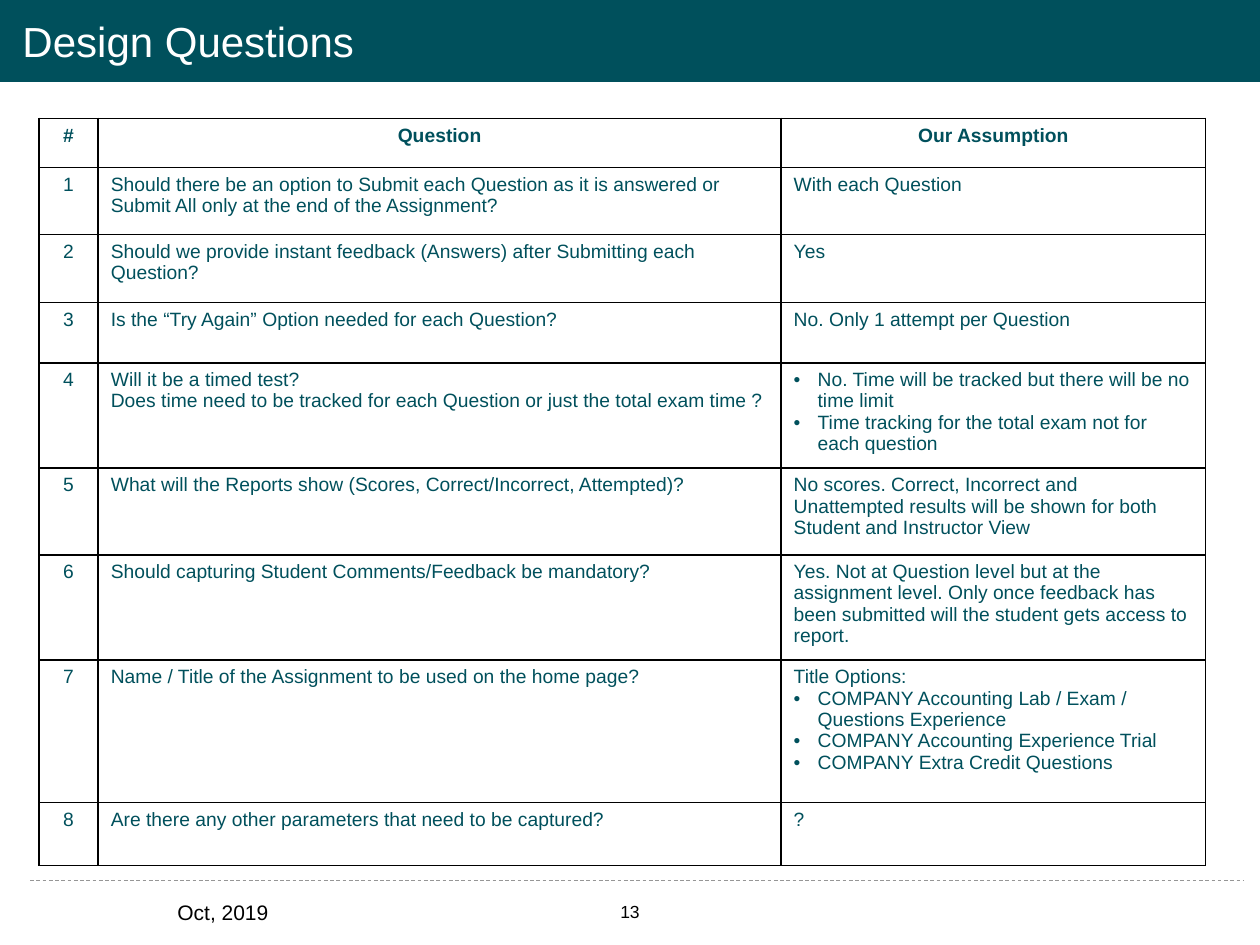
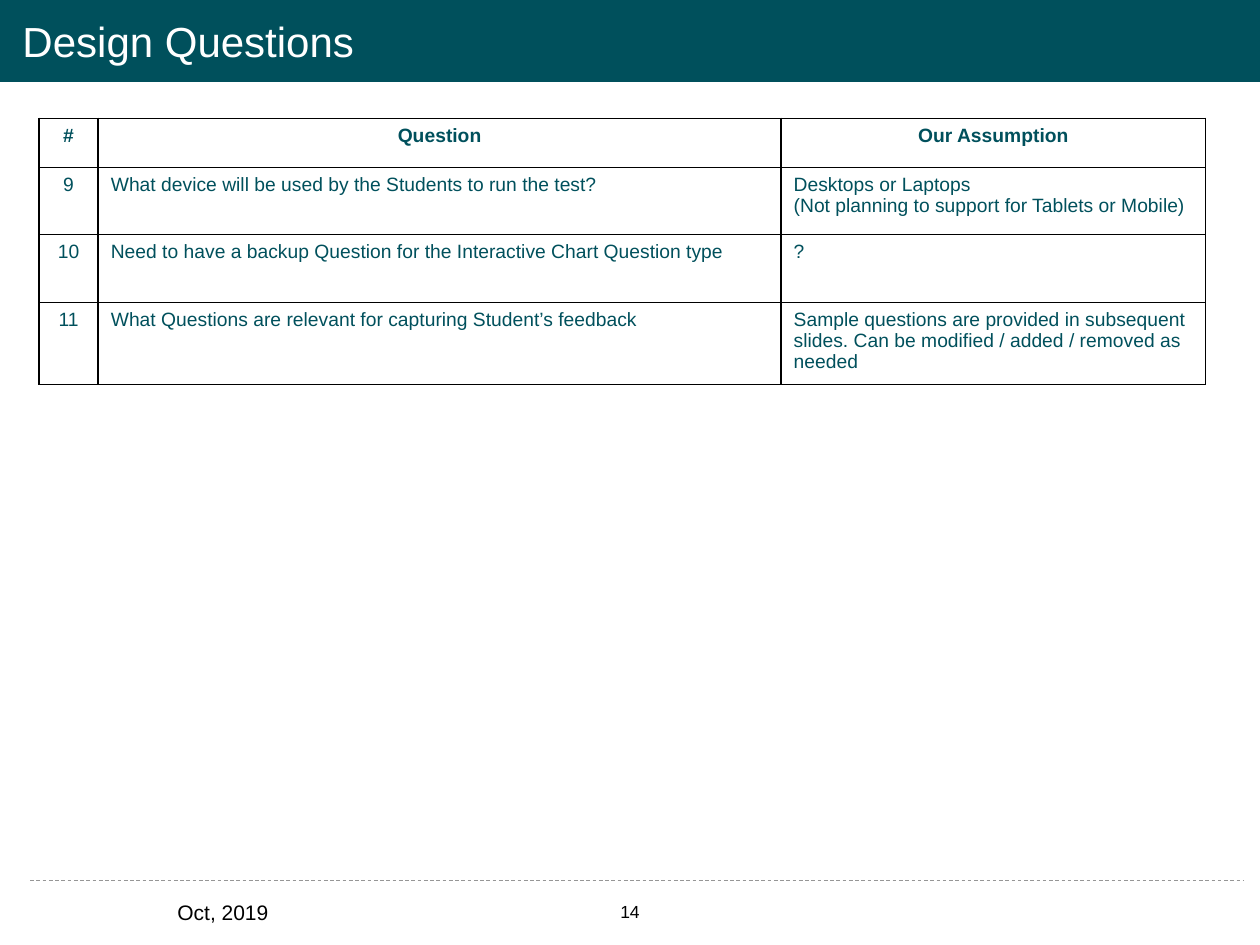
"""Build two slides that list design questions and the assumptions made for them."""
from lxml.etree import SubElement
from pptx import Presentation
from pptx.dml.color import RGBColor
from pptx.enum.dml import MSO_LINE_DASH_STYLE as Dash
from pptx.enum.shapes import MSO_CONNECTOR as Connector, MSO_SHAPE as Shape
from pptx.enum.text import MSO_ANCHOR as Anchor, PP_ALIGN as Align
from pptx.oxml.ns import qn
from pptx.util import Inches, Pt

TEAL, WHITE, BLACK, GRAY = "00505C", "FFFFFF", "000000", "969696"
FONT = "Arial"
BULLET = "•"
COLUMN_WIDTHS = [0.47, 5.42, 3.37]
HEADER_HEIGHT = 0.39
HEADINGS = ("#", ["Question"], ["Our Assumption"])

SLIDES = [
    (13, [
        (0.53, ["Should there be an option to Submit each Question as it is answered or Submit All only at the end of the Assignment?"],
         ["With each Question"]),
        (0.54, ["Should we provide instant feedback (Answers) after Submitting each Question?"],
         ["Yes"]),
        (0.48, ["Is the “Try Again” Option needed for each Question?"],
         ["No. Only 1 attempt per Question"]),
        (0.79, ["Will it be a timed test?",
                "Does time need to be tracked for each Question or just the total exam time ?"],
         ["•No. Time will be tracked but there will be no time limit",
          "•Time tracking for the total exam not for each question"]),
        (0.69, ["What will the Reports show (Scores, Correct/Incorrect, Attempted)?"],
         ["No scores. Correct, Incorrect and Unattempted results will be shown for both Student and Instructor View"]),
        (0.79, ["Should capturing Student Comments/Feedback be mandatory?"],
         ["Yes. Not at Question level but at the assignment level. Only once feedback has been submitted will the student gets access to report."]),
        (1.13, ["Name / Title of the Assignment to be used on the home page?"],
         ["Title Options:",
          "•COMPANY Accounting Lab / Exam / Questions Experience",
          "•COMPANY Accounting Experience Trial",
          "•COMPANY Extra Credit Questions"]),
        (0.5, ["Are there any other parameters that need to be captured?"], ["?"]),
    ]),
    (14, [
        (0.53, ["What device will be used by the Students to run the test?"],
         ["Desktops or Laptops", "(Not planning to support for Tablets or Mobile)"]),
        (0.54, ["Need to have a backup Question for the Interactive Chart Question type"], ["?"]),
        (0.6, ["What Questions are relevant for capturing Student’s feedback"],
         ["Sample questions are provided in subsequent slides. Can be modified / added / removed as needed"]),
    ]),
]


def color(value):
    return RGBColor.from_string(value)


def add_span(para, text, size, ink, bold=False):
    span = para.add_run()
    span.text = text
    span.font.name = FONT
    span.font.size = Pt(size)
    span.font.bold = bold
    span.font.color.rgb = color(ink)


deck = Presentation()
deck.slide_width, deck.slide_height = Inches(10), Inches(7.5)
first_number = 1

for page_number, questions in SLIDES:
    page = deck.slides.add_slide(deck.slide_layouts[6])

    band = page.shapes.add_shape(Shape.RECTANGLE, 0, 0, deck.slide_width, Inches(0.65))
    band.shadow.inherit = False
    band.fill.solid()
    band.fill.fore_color.rgb = color(TEAL)
    band.line.fill.background()

    rule = page.shapes.add_connector(
        Connector.STRAIGHT, Inches(0.24), Inches(6.99), Inches(9.87), Inches(6.99))
    rule.line.color.rgb = color(GRAY)
    rule.line.width = Pt(0.5)
    rule.line.dash_style = Dash.DASH
    SubElement(rule.element.spPr, qn("a:effectLst"))

    for text, place, size, ink, before, after in [
        ("Design Questions", (0.08, 0.02, 9.48, 0.65), 24, WHITE, 3, 6),
        ("Oct, 2019", (1.31, 6.95, 2.25, 0.61), 12, BLACK, 7.5, 0),
    ]:
        box = page.shapes.add_textbox(*map(Inches, place))
        box.text_frame.word_wrap = True
        box.text_frame.vertical_anchor = Anchor.MIDDLE
        para = box.text_frame.paragraphs[0]
        para.line_spacing = 0.9
        para.space_before, para.space_after = Pt(before), Pt(after)
        add_span(para, text, size, ink)

    number_box = page.shapes.add_textbox(Inches(3.72), Inches(7.07), Inches(2.56), Inches(0.37))
    frame = number_box.text_frame
    frame.word_wrap = True
    frame.margin_top = frame.margin_bottom = Inches(0.1)
    frame.paragraphs[0].alignment = Align.CENTER
    add_span(frame.paragraphs[0], str(page_number), 10, BLACK)

    heights = [HEADER_HEIGHT] + [height for height, _, _ in questions]
    table = page.shapes.add_table(
        len(heights), len(COLUMN_WIDTHS), Inches(0.31), Inches(0.94),
        Inches(sum(COLUMN_WIDTHS)), Inches(sum(heights))).table
    table.first_row = table.horz_banding = False
    for column, width in zip(table.columns, COLUMN_WIDTHS):
        column.width = Inches(width)
    for row, height in zip(table.rows, heights):
        row.height = Inches(height)

    contents = [HEADINGS] + [
        (str(number), question, assumption)
        for number, (_, question, assumption) in enumerate(questions, first_number)]
    first_number += len(questions)

    for row_index, (number, question, assumption) in enumerate(contents):
        is_header = row_index == 0
        for column_index, lines in enumerate([[number], question, assumption]):
            cell = table.cell(row_index, column_index)
            properties = cell._tc.get_or_add_tcPr()
            for side in ("a:lnL", "a:lnR", "a:lnT", "a:lnB"):
                border = SubElement(properties, qn(side), w=str(Pt(1)))
                fill = SubElement(border, qn("a:solidFill"))
                SubElement(fill, qn("a:srgbClr"), val=BLACK)
            cell.fill.background()

            for line_index, line in enumerate(lines):
                frame = cell.text_frame
                para = frame.add_paragraph() if line_index else frame.paragraphs[0]
                if is_header or column_index == 0:
                    para.alignment = Align.CENTER
                if line.startswith(BULLET):
                    layout = para._p.get_or_add_pPr()
                    layout.set("marL", str(Inches(0.19)))
                    layout.set("indent", str(-Inches(0.19)))
                    SubElement(layout, qn("a:buFont"), typeface=FONT)
                    SubElement(layout, qn("a:buChar"), char=BULLET)
                add_span(para, line.removeprefix(BULLET), 11, TEAL, is_header)

deck.save("out.pptx")
